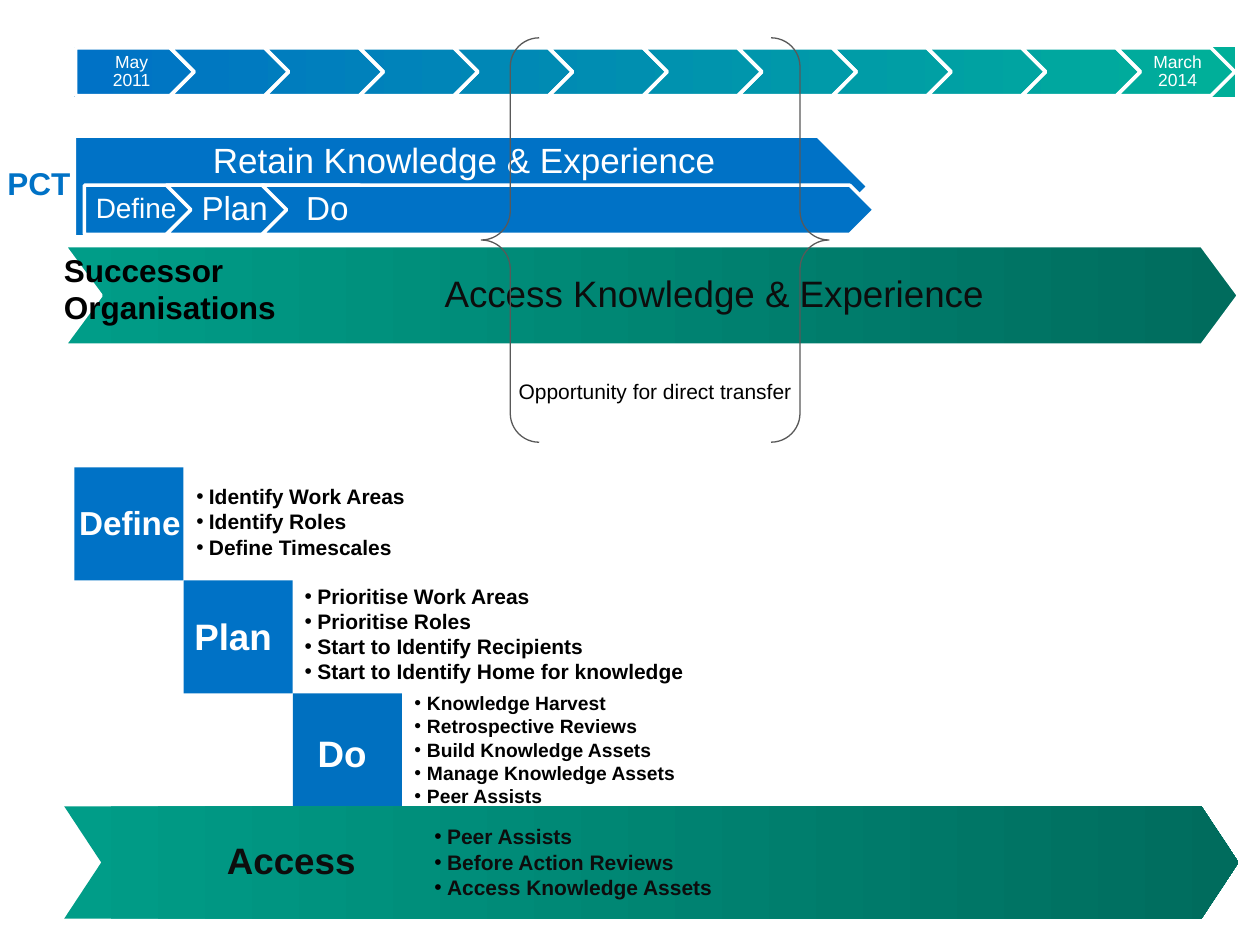
import pptx
import pptx.util
import pptx.dml.color
import pptx.enum.shapes
import pptx.enum.text
import pptx.oxml.ns
from lxml import etree

Inches = pptx.util.Inches
SHAPE = pptx.enum.shapes.MSO_SHAPE
ALIGN = pptx.enum.text.PP_ALIGN
ANCHOR = pptx.enum.text.MSO_ANCHOR
qn = pptx.oxml.ns.qn

COLORS = {"blue": "0072C6", "do_blue": "0070C0", "teal": "00AF99",
          "green": "009D88", "dark_green": "006C5D", "white": "FFFFFF",
          "black": "000000", "ink": "0D0D0D", "grey": "595959"}
GREENS = ("green", "dark_green")

# Timeline
MONTH_LABELS = {0: ("May\v2011", (0.06, 0.11)), 11: ("March 2014", (0.23, 0.2))}
CHEVRON_COUNT, CHEVRON_STEP = 12, 0.751

# Steps inside the upper arrow: text, left, width, size, (left, right) insets
PHASES = [
    ("Define", 0.67, 1.62, 16, (0.09, 0.12)),
    ("Plan", 1.32, 1.73, 19, (0.28, 0.22)),
    ("Do", 2.08, 4.86, 19, (0.35, 0.22)),
]

# Staircase: label, size, label box, fill, bullet size, bullet box, bullets
STAIRS = [
    ("Define", 19, (0.52, 3.94, 1.02, 0.42), "blue", 12, (1.46, 3.79, 2.99, 0.71),
     ["Identify Work Areas", "Identify Roles", "Define Timescales"]),
    ("Plan", 21, (1.34, 4.82, 1.02, 0.45), "blue", 12, (2.32, 4.58, 3.62, 0.91),
     ["Prioritise Work Areas", "Prioritise Roles", "Start to Identify Recipients",
      "Start to Identify Home for knowledge"]),
    ("Do", 21, (2.32, 5.75, 0.79, 0.45), "do_blue", 11, (3.19, 5.44, 3.19, 1.03),
     ["Knowledge Harvest", "Retrospective Reviews", "Build Knowledge Assets",
      "Manage Knowledge Assets", "Peer Assists"]),
]
ACCESS_BULLETS = ["Peer Assists", "Before Action Reviews", "Access Knowledge Assets"]

deck = pptx.Presentation()
deck.slide_width, deck.slide_height = Inches(10), Inches(7.5)
page = deck.slides.add_slide(deck.slide_layouts[6])


def rgb(name):
    return pptx.dml.color.RGBColor.from_string(COLORS[name])


def add_bullet(para):
    props = para._p.get_or_add_pPr()
    props.set("marL", str(Inches(0.1)))
    props.set("indent", str(Inches(-0.1)))
    color = etree.SubElement(props, qn("a:buClr"))
    etree.SubElement(color, qn("a:srgbClr"), val=COLORS["black"])
    etree.SubElement(props, qn("a:buFont"), typeface="Arial")
    etree.SubElement(props, qn("a:buChar"), char="•")


def write(frame, lines, size, color="white", bold=False, align=ALIGN.LEFT,
          anchor=ANCHOR.TOP, spacing=None, bullets=False, insets=None):
    """Fill a text frame; insets are left, top, right, bottom in inches."""
    frame.word_wrap = True
    frame.vertical_anchor = anchor
    if insets:
        (frame.margin_left, frame.margin_top,
         frame.margin_right, frame.margin_bottom) = [Inches(max(0, i)) for i in insets]
    for index, line in enumerate([lines] if isinstance(lines, str) else lines):
        para = frame.add_paragraph() if index else frame.paragraphs[0]
        para.text = line
        para.alignment = align
        if spacing:
            para.line_spacing = spacing
        if bullets:
            add_bullet(para)
        for span in para.runs:
            span.font.name, span.font.size = "Arial", pptx.util.Pt(size)
            span.font.bold, span.font.color.rgb = bold, rgb(color)


def add_text(box, lines, size, **style):
    write(page.shapes.add_textbox(*map(Inches, box)).text_frame, lines, size, **style)


def draw(kind, box, fill=None, line=None, width=2):
    """Add a preset shape; a pair of fill colours runs left to right."""
    shape = page.shapes.add_shape(kind, *map(Inches, box))
    shape.shadow.inherit = False
    if fill is None:
        shape.fill.background()
    elif isinstance(fill, tuple):
        shape.fill.gradient()
        shape.fill.gradient_angle = 0
        for stop, name, position in zip(shape.fill.gradient_stops, fill, (0, 1)):
            stop.color.rgb, stop.position = rgb(name), position
    else:
        shape.fill.solid()
        shape.fill.fore_color.rgb = rgb(fill)
    if line:
        shape.line.color.rgb = rgb(line)
        shape.line.width = pptx.util.Pt(width)
    else:
        shape.line.fill.background()
    return shape


def add_arrow(kind, box, text="", size=10, tip=0.5, sides=(0, 0), pad=0.03,
              fill=None, line="white", **style):
    """Arrow whose side insets count from its outer box, not its text area."""
    shape = draw(kind, box, fill, line)
    shape.adjustments[0] = tip
    if text:
        point = tip * box[3]
        left, right = (point, point) if kind == SHAPE.CHEVRON else (0, point / 2)
        style = {"anchor": ANCHOR.MIDDLE, "spacing": 0.9, **style}
        write(shape.text_frame, text, size,
              insets=(sides[0] - left, pad, sides[1] - right, pad), **style)


draw(SHAPE.RECTANGLE, (0.59, 0.37, 9.21, 0.4), ("blue", "teal"))
for index in range(CHEVRON_COUNT):
    text, sides = MONTH_LABELS.get(index, ("", (0, 0)))
    add_arrow(SHAPE.CHEVRON if index else SHAPE.PENTAGON,
              (0.6 + index * CHEVRON_STEP, 0.38, 0.94, 0.38), text,
              sides=sides, align=ALIGN.CENTER)

add_text((-0.04, 1.25, 0.91, 0.4), "PCT", 18, color="blue", bold=True)
add_arrow(SHAPE.PENTAGON, (0.59, 1.08, 6.3, 0.8), "Retain Knowledge & Experience", 20,
          sides=(0.12, 0.23), pad=0.06, fill="blue", align=ALIGN.CENTER,
          anchor=ANCHOR.TOP)
for index, (text, left, width, size, sides) in enumerate(PHASES):
    add_arrow(SHAPE.CHEVRON if index else SHAPE.PENTAGON, (left, 1.47, width, 0.39),
              text, size, sides=sides, pad=0.05, fill="blue")

add_arrow(SHAPE.CHEVRON, (0.51, 1.95, 9.32, 0.79), "Access Knowledge & Experience", 21,
          tip=0.37, sides=(1.29, 0.23), fill=GREENS, color="ink", align=ALIGN.CENTER)
add_text((0.41, 1.94, 2.54, 0.71), ["Successor", "Organisations"], 18,
         color="black", bold=True)
draw(SHAPE.DOUBLE_BRACE, (3.82, 0.3, 2.76, 3.21), line="grey", width=0.75)
add_text((0.95, 2.3, 8.5, 1.61), "Opportunity for direct transfer", 12,
         color="black", align=ALIGN.CENTER, anchor=ANCHOR.MIDDLE)

STAIR_WIDTH, STAIR_HEIGHT = 0.867, 0.897
for index, (label, size, label_box, fill, bullet_size, bullet_box, bullets) in enumerate(STAIRS):
    draw(SHAPE.RECTANGLE, (0.59 + index * STAIR_WIDTH, 3.71 + index * STAIR_HEIGHT,
                           STAIR_WIDTH, STAIR_HEIGHT), fill)
    add_text(label_box, label, size, bold=True, align=ALIGN.CENTER,
             insets=(0, 0.05, 0, 0.05))
    add_text(bullet_box, bullets, bullet_size, color="black", bold=True, bullets=True)

add_arrow(SHAPE.CHEVRON, (0.51, 6.4, 9.32, 0.89), "Access", 21, tip=0.33,
          sides=(1.29, 0.23), fill=GREENS, line=None, color="ink", bold=True)
add_text((3.35, 6.49, 2.56, 0.71), ACCESS_BULLETS, 12, color="ink", bold=True,
         bullets=True)

deck.save("out.pptx")
